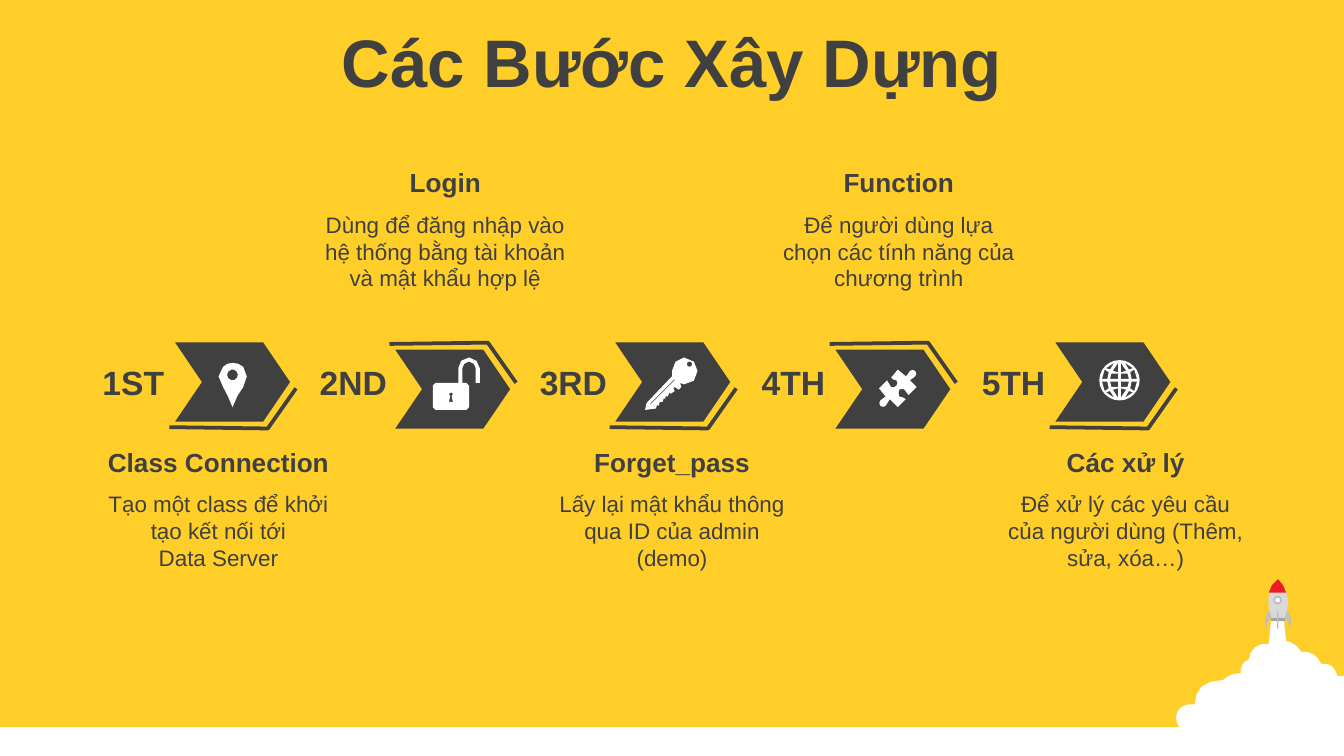
from pptx import Presentation
from pptx.dml.color import RGBColor
from pptx.enum.shapes import MSO_SHAPE
from pptx.enum.text import MSO_ANCHOR, MSO_AUTO_SIZE, PP_ALIGN
from pptx.util import Pt
import math

RECTANGLE, ELLIPSE, CHEVRON = MSO_SHAPE.RECTANGLE, MSO_SHAPE.OVAL, MSO_SHAPE.CHEVRON
TOP, MIDDLE = MSO_ANCHOR.TOP, MSO_ANCHOR.MIDDLE
CENTER = PP_ALIGN.CENTER
GROW, FIXED = MSO_AUTO_SIZE.SHAPE_TO_FIT_TEXT, MSO_AUTO_SIZE.NONE

YELLOW, DARK, WHITE = "FFCE29", "404040", "FFFFFF"
PALE, SILVER, GRAY, RED = "D9D9D9", "BFBFBF", "A6A6A6", "ED1C24"
GRID = 0.72  # points in one unit of the outlines below


def color(value):
    return RGBColor.from_string(value)


def trace(path, origin=(0, 0), mirror=(1, 1), steps=2):
    """Turn M, L and C commands into contours of points."""
    contours, tokens = [], path.split()
    while tokens:
        command = tokens.pop(0)
        count = 3 if command == "C" else 1
        knots = []
        for _ in range(count):
            x, y = float(tokens.pop(0)), float(tokens.pop(0))
            knots.append(tuple((o + m * v) * GRID
                               for o, m, v in zip(origin, mirror, (x, y))))
        if command == "M":
            contours.append(knots)
        elif command == "L":
            contours[-1] += knots
        else:
            a, (b, c, d) = contours[-1][-1], knots
            for step in range(1, steps + 1):
                t = step / steps
                s = 1 - t
                contours[-1].append(tuple(
                    s**3 * p + 3 * s * s * t * q + 3 * s * t * t * r + t**3 * e
                    for p, q, r, e in zip(a, b, c, d)))
    return contours


def ring(x, y, radius, sides=10):
    angles = [math.tau * side / sides for side in range(sides)]
    return [[((x + radius * math.cos(a)) * GRID, (y + radius * math.sin(a)) * GRID)
             for a in angles]]


class SlideBuilder:
    font = "Arial"

    def __init__(self, slide):
        self.slide = slide
        slide.background.fill.solid()
        slide.background.fill.fore_color.rgb = color(YELLOW)

    def paint(self, shape, fill=None, line=None, width=1):
        shape.shadow.inherit = False
        if fill:
            shape.fill.solid()
            shape.fill.fore_color.rgb = color(fill)
        else:
            shape.fill.background()
        if line:
            shape.line.color.rgb = color(line)
            shape.line.width = Pt(width)
        else:
            shape.line.fill.background()
        return shape

    def preset(self, kind, box, fill, line=None):
        shape = self.slide.shapes.add_shape(kind, *map(Pt, box))
        return self.paint(shape, fill, line)

    def outline(self, contours, fill=None, line=None, width=1):
        builder = None
        for contour in contours:
            points = [(Pt(x), Pt(y)) for x, y in contour]
            if builder is None:
                builder = self.slide.shapes.build_freeform(*points[0])
            else:
                builder.move_to(*points[0])
            builder.add_line_segments(points[1:], close=fill is not None)
        return self.paint(builder.convert_to_shape(), fill, line, width)

    def text(self, box, lines, size, bold=False, anchor=TOP, fit=GROW, before=0):
        frame = self.slide.shapes.add_textbox(*map(Pt, box)).text_frame
        frame_format = {"word_wrap": True, "auto_size": fit, "vertical_anchor": anchor}
        for name, value in frame_format.items():
            setattr(frame, name, value)
        for index, line in enumerate(lines):
            paragraph = frame.add_paragraph() if index else frame.paragraphs[0]
            paragraph.alignment = CENTER
            paragraph.space_before = Pt(before)
            run = paragraph.add_run()
            run.text = line
            for name, value in {"name": self.font, "size": Pt(size), "bold": bold}.items():
                setattr(run.font, name, value)
            run.font.color.rgb = color(DARK)


# Outlines
CLOUD = ("M 946 459 L 955 459 L 957 477 C 962 478 965 480 968 485 "
         "C 975 484 981 488 983 494 C 990 493 994 497 995 503 "
         "L 1000 503 L 1000 561 L 893 561 L 893 543 "
         "C 891 545 889 545 886 545 C 880 545 875 540 875 534 C 875 528 880 523 889 524 "
         "C 889 513 896 506 910 506 C 914 502 918 501 923 501 "
         "C 923 495 925 492 929 491 C 930 483 936 478 944 479")
BODY = "M 946 462 C 944 453 940 440 951 431 C 962 441 958 454 956 462"
NOSE = "M 951 431 C 954 434 956 437 957 441 L 944 441 C 945 437 947 434 951 431"
FIN = "M -7 0 L -5 5 C -9 7 -8 12 -9 14 C -10 11 -11 3 -7 0"
PIN = ("M 173 270 C 176 270 179 271 181 273 C 185 277 184 283 181 288 "
       "C 177 293 176 296 173 303 C 170 296 169 293 166 288 "
       "C 162 283 161 277 166 273 C 168 271 170 270 173 270")
PADLOCK = ("M 349 266 C 353 266 357 270 357 274 L 357 285 L 354 285 L 354 274 "
           "C 354 272 352 269 349 269 C 346 269 344 272 344 274 L 344 285 L 347 285 "
           "L 349 287 L 349 303 L 347 305 L 324 305 L 322 303 L 322 287 L 324 285 "
           "L 341 285 L 341 274 C 341 270 344 266 349 266 "
           "M 336 292 L 334 293 L 335 295 L 334 299 L 337 299 L 336 295 L 337 293")
KEY = ("M 509 266 C 515 266 519 271 519 276 C 519 282 515 286 509 286 "
       "L 506 285 L 507 288 L 505 290 L 502 288 L 501 289 L 502 291 L 499 293 "
       "L 498 292 L 497 295 L 495 295 L 495 297 L 494 296 L 493 299 L 491 299 "
       "L 490 302 L 489 301 L 488 304 L 480 305 L 481 300 L 500 280 L 500 276 "
       "C 500 271 504 266 509 266 M 502 282 L 484 300 L 484 301 L 502 283")
PUZZLE = ("M 681 276 C 682 277 682 279 681 280 C 680 282 678 281 677 283 L 682 288 "
          "L 676 294 C 674 293 675 291 673 290 C 672 289 671 289 669 290 "
          "C 669 291 668 293 669 295 C 671 296 672 295 674 297 L 668 303 L 662 297 "
          "C 660 299 661 300 659 302 C 658 303 656 303 655 302 C 654 301 654 299 655 298 "
          "C 656 296 658 297 659 295 L 654 289 L 660 283 C 662 285 661 286 663 288 "
          "C 664 289 666 288 667 287 C 668 286 668 284 667 283 C 665 282 664 283 663 281 "
          "L 668 275 L 674 280 C 676 279 675 278 677 276 C 678 275 680 275 681 276")
GLOBE_QUARTER = ("M 7 8 L 4 13 L 10 9 M 1 6 L 1 13 L 5 7 "
                 "M 9 1 L 8 6 L 11 8 L 13 1 M 1 1 L 1 5 L 6 5 L 7 1")
GLOBE = ring(833, 283, 15, 24)
for flip in ((1, 1), (-1, 1), (1, -1), (-1, -1)):
    GLOBE += trace(GLOBE_QUARTER, (833, 283), flip)

STEPS = [
    ("1ST", "Class Connection", ["Tạo một class để khởi tạo kết nối tới", "Data Server"],
     trace(PIN) + ring(173, 279, 4)),
    ("2ND", "Login", ["Dùng để đăng nhập vào hệ thống bằng tài khoản và mật khẩu hợp lệ"],
     trace(PADLOCK)),
    ("3RD", "Forget_pass", ["Lấy lại mật khẩu thông qua ID của admin", "(demo)"],
     trace(KEY) + ring(513, 271, 2, 8)),
    ("4TH", "Function", ["Để người dùng lựa chọn các tính năng của chương trình"],
     trace(PUZZLE)),
    ("5TH", "Các xử lý", ["Để xử lý các yêu cầu của người dùng (Thêm, sửa, xóa…)"], GLOBE),
]

presentation = Presentation()
presentation.slide_width, presentation.slide_height = Pt(720), Pt(405)
builder = SlideBuilder(presentation.slides.add_slide(presentation.slide_layouts[6]))

# Ground, cloud and rocket
builder.preset(RECTANGLE, (0, 389.5, 720, 15.5), WHITE)
builder.outline(trace(CLOUD, steps=4), WHITE)
builder.outline(trace(BODY, steps=4), PALE)
builder.preset(RECTANGLE, (681, 331, 7.5, 1.8), GRAY)
builder.outline(trace(NOSE), RED)
builder.preset(ELLIPSE, (682.7, 319.7, 3.6, 3.6), WHITE, SILVER)
builder.preset(RECTANGLE, (684.2, 327.6, 0.7, 9.2), SILVER)
for side in (1, -1):
    builder.outline(trace(FIN, (951, 454), (side, 1)), SILVER)

# Title
builder.text((0, 10, 720, 45.4), ["Các Bước Xây Dựng"], 36, True, MIDDLE, FIXED, 5)

# Steps: odd ones are described below the arrows, even ones above
MIDLINE = 206.6
for index, (number, heading, description, icon) in enumerate(STEPS):
    side = -1 if index % 2 else 1
    left = 93.8 + 117.9 * index
    arrow = builder.preset(CHEVRON, (left, MIDLINE - 21.2 - 1.9 * side, 61.6, 42.4), DARK)
    arrow.adjustments[0] = 0.34
    swoosh = [(64.8, 1.5), (49.7, 23), (-3, 22.3)]
    builder.outline([[(left + x, MIDLINE + side * y) for x, y in swoosh]],
                    line=DARK, width=2)
    builder.outline(icon, WHITE)
    builder.text((left - 54.4, 190.3, 64, 29), [number], 18, True, MIDDLE)
    text_left = 45.4 + 121.5 * index
    text_top = 235.4 if side > 0 else 85.6
    builder.text((text_left, text_top + 23.8, 143.3, 51), description, 12)
    builder.text((text_left, text_top, 143.3, 24.2), [heading], 14, True)

presentation.save("out.pptx")
